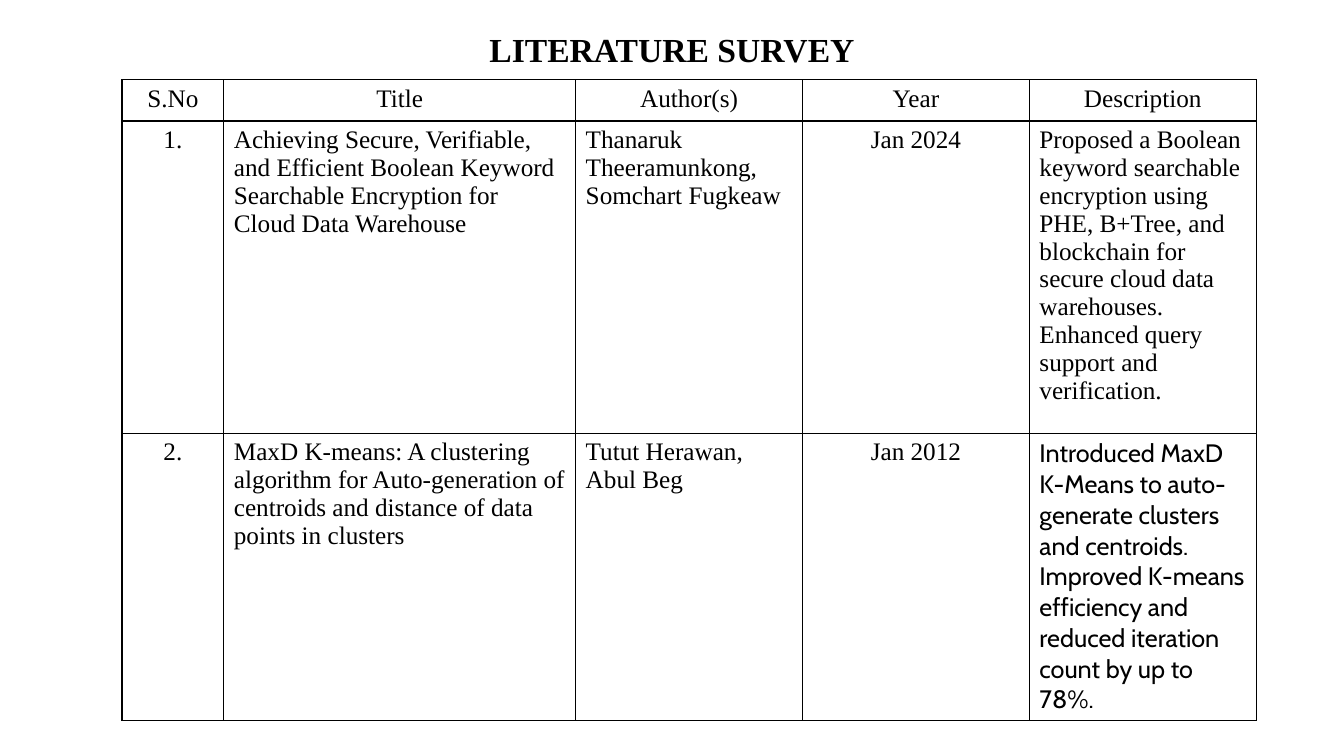
from lxml import etree
from pptx import Presentation
from pptx import util as u
from pptx.dml.color import RGBColor
from pptx.enum import text
from pptx.oxml.ns import qn

# Content
TITLE = "LITERATURE SURVEY"
ROWS = [
    ("S.No", "Title", "Author(s)", "Year", "Description"),
    ("1.",
     "Achieving Secure, Verifiable, and Efficient Boolean Keyword Searchable "
     "Encryption for Cloud Data Warehouse",
     "Thanaruk Theeramunkong, Somchart Fugkeaw",
     "Jan 2024",
     "Proposed a Boolean keyword searchable encryption using PHE, B+Tree, and "
     "blockchain for secure cloud data warehouses. Enhanced query support and "
     "verification."),
    ("2.",
     "MaxD K-means: A clustering algorithm for Auto-generation of centroids "
     "and distance of data points in clusters",
     "Tutut Herawan, Abul Beg",
     "Jan 2012",
     "Introduced MaxD K-Means to auto-generate clusters and centroids. Improved "
     "K-means efficiency and reduced iteration count by up to 78%."),
]

# Layout and formats
TITLE_BOX = {"left": 0.46, "top": 0.21, "width": 12.41, "height": 0.58}
TABLE_LEFT, TABLE_TOP = 1.21, 0.79
COL_WIDTHS = [1.01, 3.49, 2.25, 2.25, 2.25]
ROW_HEIGHTS = [0.41, 3.1, 2.8]
CENTRED_COLS = {0, 3}
INK = "000000"
SERIF, SANS = "Times New Roman", "Cabin"
TITLE_FONT = {"name": SERIF, "size": u.Pt(24), "bold": True}
CELL_FONT = {"name": SERIF, "size": u.Pt(18), "bold": False}
LAST_CELL = (len(ROWS) - 1, len(COL_WIDTHS) - 1)


def colour(hex_value):
    return RGBColor.from_string(hex_value)


def write(p, words, fmt, align):
    p.alignment = align
    r = p.add_run()
    r.text = words
    for key, value in fmt.items():
        setattr(r.font, key, value)
    r.font.color.rgb = colour(INK)


def add_borders(cell):
    tc_pr = cell._tc.get_or_add_tcPr()
    for i, side in enumerate(("lnL", "lnR", "lnT", "lnB")):
        ln = etree.Element(qn(f"a:{side}"), w=str(u.Pt(1)))
        fill = etree.SubElement(ln, qn("a:solidFill"))
        etree.SubElement(fill, qn("a:srgbClr"), val=INK)
        tc_pr.insert(i, ln)


def main():
    prs = Presentation()
    prs.slide_width, prs.slide_height = u.Inches(13.33), u.Inches(7.5)
    s = prs.slides.add_slide(prs.slide_layouts[5])

    # Title
    sp = s.shapes.title
    for key, value in TITLE_BOX.items():
        setattr(sp, key, u.Inches(value))
    tf = sp.text_frame
    tf.vertical_anchor = text.MSO_ANCHOR.TOP
    tf.auto_size = text.MSO_AUTO_SIZE.NONE
    p = tf.paragraphs[0]
    p.line_spacing = 1.07
    write(p, TITLE, TITLE_FONT, text.PP_ALIGN.CENTER)

    # Table grid
    table = s.shapes.add_table(
        len(ROWS), len(COL_WIDTHS), u.Inches(TABLE_LEFT), u.Inches(TABLE_TOP),
        u.Inches(sum(COL_WIDTHS)), u.Inches(sum(ROW_HEIGHTS))).table
    table.first_row = table.horz_banding = False
    for col, width in zip(table.columns, COL_WIDTHS):
        col.width = u.Inches(width)
    for row, height in zip(table.rows, ROW_HEIGHTS):
        row.height = u.Inches(height)

    # Table cells
    for i, row in enumerate(ROWS):
        for j, words in enumerate(row):
            cell = table.cell(i, j)
            cell.fill.background()
            add_borders(cell)
            centred = i == 0 or j in CENTRED_COLS
            align = text.PP_ALIGN.CENTER if centred else text.PP_ALIGN.LEFT
            font = SANS if (i, j) == LAST_CELL else SERIF
            write(cell.text_frame.paragraphs[0], words,
                  {**CELL_FONT, "name": font}, align)

    prs.save("out.pptx")


if __name__ == "__main__":
    main()
